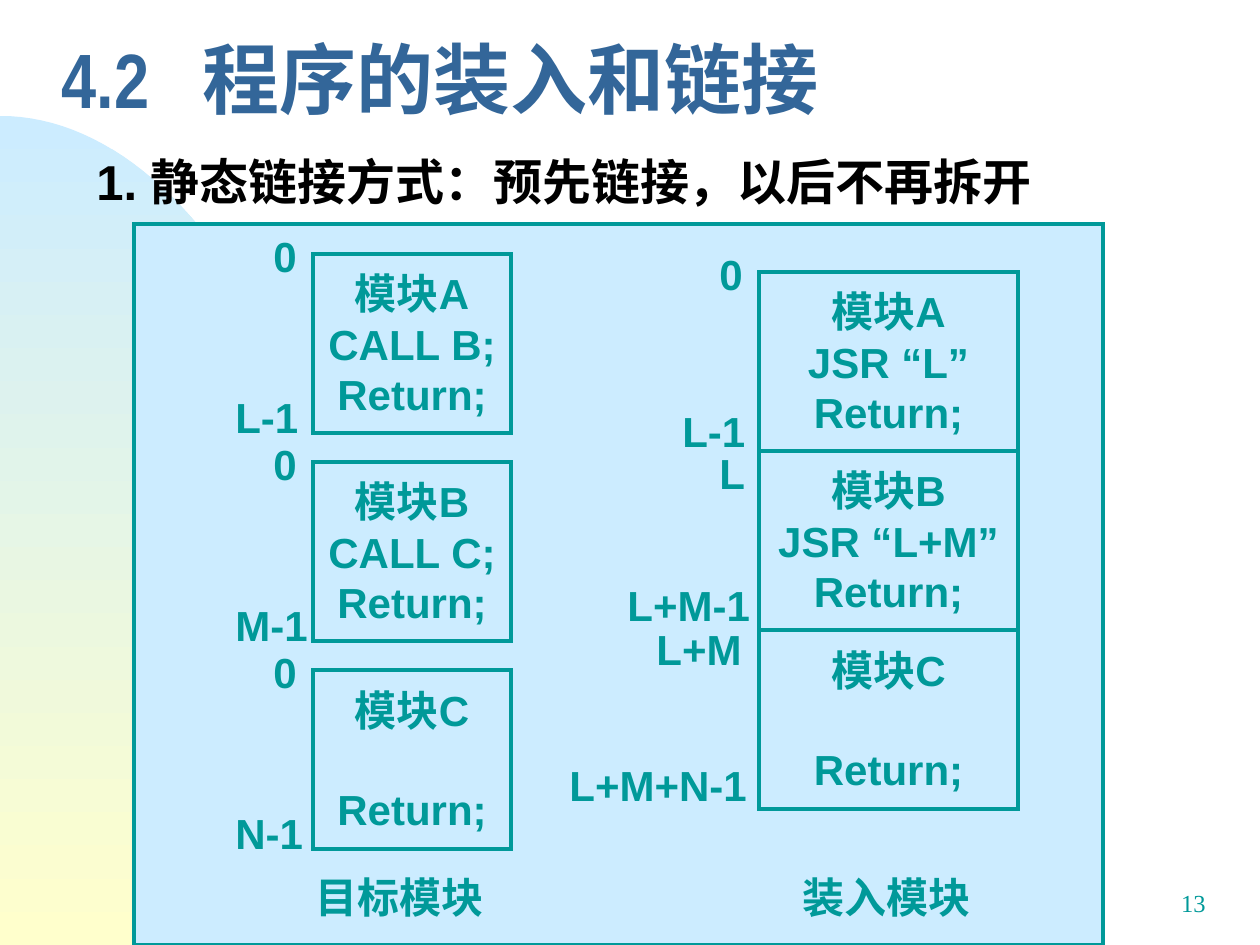
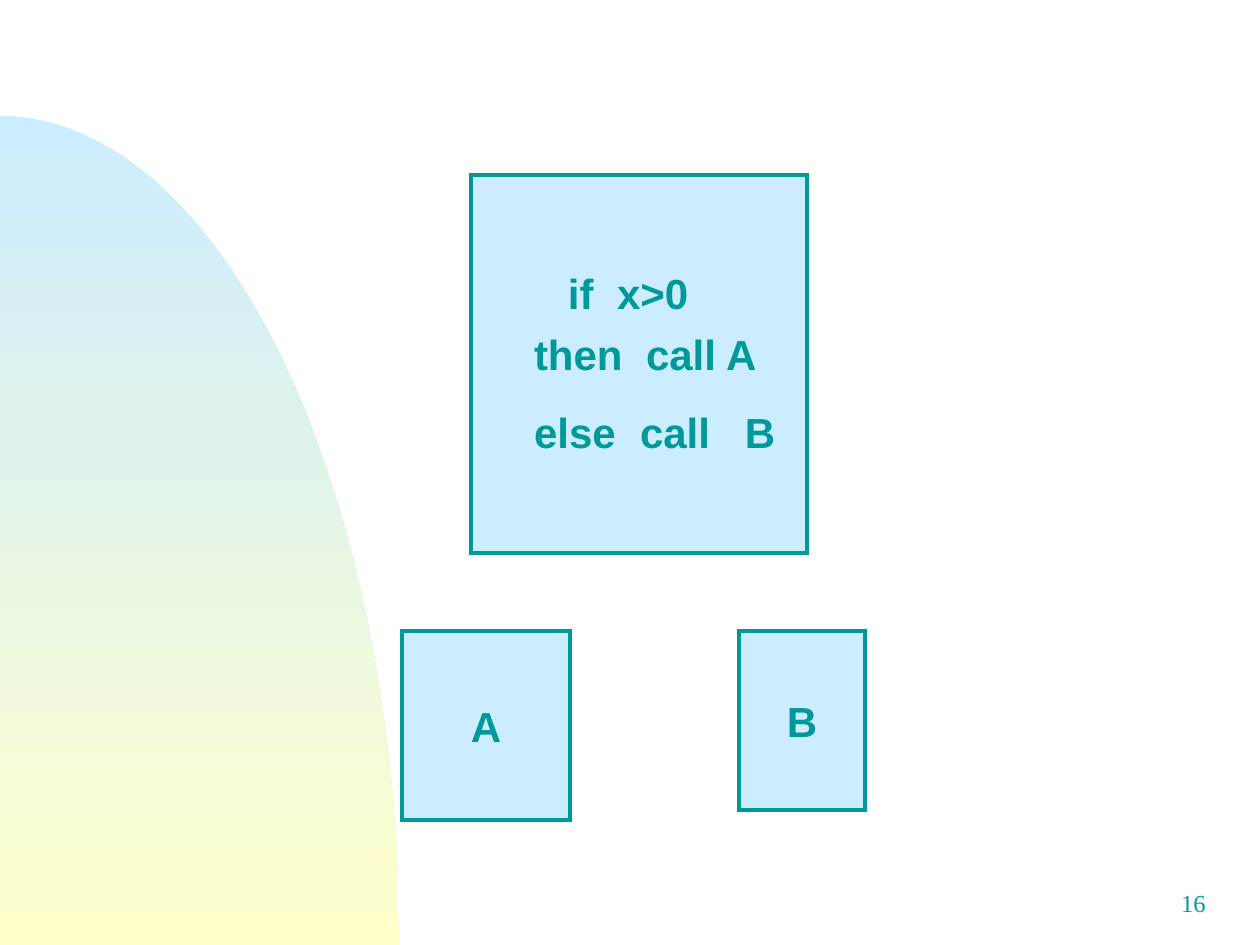
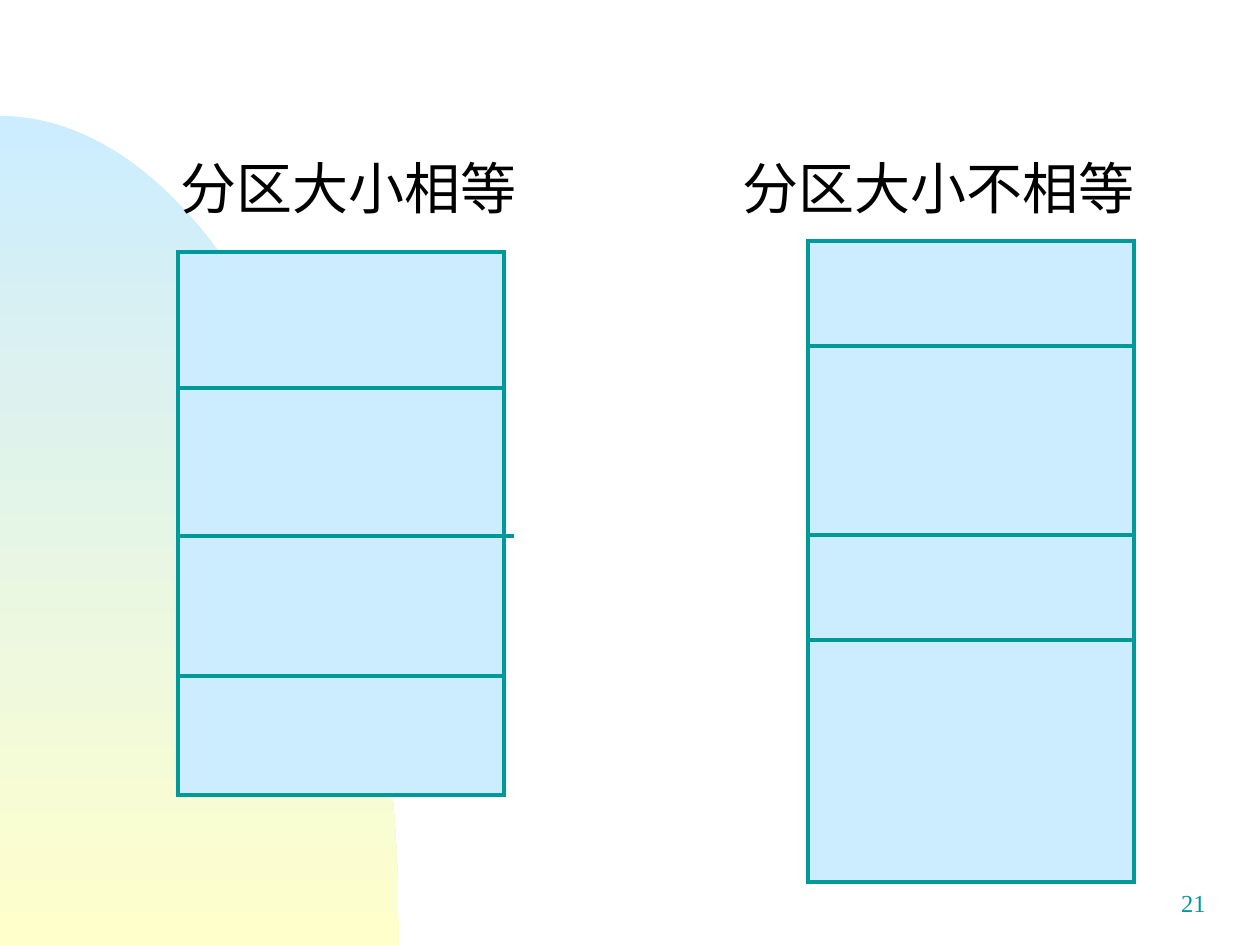
from dataclasses import dataclass
from math import cos, pi, sin

from lxml.etree import SubElement
from pptx import Presentation
from pptx.dml.color import RGBColor as Rgb
from pptx.enum.shapes import MSO_CONNECTOR as Connector, MSO_SHAPE as Preset
from pptx.enum.text import MSO_ANCHOR as Anchor, MSO_AUTO_SIZE as AutoSize, PP_ALIGN as Align
from pptx.oxml.ns import qn
from pptx.util import Emu, Pt

SLIDE_W, SLIDE_H = 1260, 945
TWO_BODIES, TITLE_ONLY, BLANK = 3, 5, 6


@dataclass(frozen=True)
class Theme:
    teal: Rgb = Rgb(0x00, 0x99, 0x99)
    sky: Rgb = Rgb(0xCC, 0xEC, 0xFF)
    cream: Rgb = Rgb(0xFF, 0xFF, 0xCC)
    blue: Rgb = Rgb(0x33, 0x66, 0x99)
    black: Rgb = Rgb(0, 0, 0)
    sans: str = "Arial"
    narrow: str = "Arial Narrow"
    serif: str = "Times New Roman"
    title: int = 44
    body: int = 32
    heading: int = 28
    label: int = 24
    number: int = 14
    thick: float = 2.5
    thin: float = 2.25


THEME = Theme()


def px(length):
    return Emu(round(length * 914400 / 126))


def box_of(left, top, width, height):
    return px(left), px(top), px(width), px(height)


# Shared helpers
def style(paragraph, size, color=THEME.teal, font=THEME.sans, bold=True):
    for run in paragraph.runs:
        run.font.size = Pt(size)
        run.font.name = font
        run.font.bold = bold
        run.font.color.rgb = color


def set_tabs(paragraph, *stops):
    tab_list = SubElement(paragraph._p.get_or_add_pPr(), qn("a:tabLst"))
    for stop in stops:
        SubElement(tab_list, qn("a:tab"), pos=str(px(stop)), algn="l")


def place(placeholder, box):
    placeholder.left, placeholder.top, placeholder.width, placeholder.height = box_of(*box)
    placeholder.text_frame.auto_size = AutoSize.NONE


def add_text(slide, box, text, size=THEME.label, align=Align.LEFT, **look):
    frame = slide.shapes.add_textbox(*box_of(*box)).text_frame
    frame.word_wrap = True
    frame.text = text
    line = frame.paragraphs[0]
    line.alignment = align
    style(line, size, **look)


def add_box(slide, box, weight=THEME.thin, lines=()):
    shape = slide.shapes.add_shape(Preset.RECTANGLE, *box_of(*box))
    shape.shadow.inherit = False
    shape.fill.solid()
    shape.fill.fore_color.rgb = THEME.sky
    shape.line.color.rgb = THEME.teal
    shape.line.width = Pt(weight)
    SubElement(shape.element.spPr.find(qn("a:ln")), qn("a:miter"), lim="800000")
    frame = shape.text_frame
    frame.word_wrap = False
    frame.vertical_anchor = Anchor.MIDDLE
    frame.text = "\n".join(lines)
    for line in frame.paragraphs:
        line.alignment = Align.CENTER
        style(line, THEME.label)
    return frame


def add_divider(slide, left, y, width):
    divider = slide.shapes.add_connector(
        Connector.STRAIGHT, px(left), px(y), px(left + width), px(y))
    divider.line.color.rgb = THEME.teal
    divider.line.width = Pt(THEME.thin)
    SubElement(divider.element.spPr, qn("a:effectLst"))


def add_master_arc(deck, slide, box=(0, 116, 399, 829), steps=60):
    """Quarter ellipse with a gradient, moved to the master behind everything."""
    left, top, width, height = box
    angles = [pi / 2 * step / steps for step in range(steps + 1)]
    curve = [(px(left + width * sin(a)), px(top + height * (1 - cos(a)))) for a in angles]
    builder = slide.shapes.build_freeform(*curve[0])
    builder.add_line_segments(curve[1:] + [(px(left), px(top + height))], close=True)
    arc = builder.convert_to_shape()
    arc.shadow.inherit = False
    arc.line.fill.background()
    arc.fill.gradient()
    arc.fill.gradient_angle = 270
    for stop, color in zip(arc.fill.gradient_stops, (THEME.sky, THEME.cream)):
        stop.color.rgb = color
    arc.element.nvSpPr.cNvPr.id = 20
    deck.slide_master.shapes.element.insert(2, arc.element)


def new_slide(deck, layout, number):
    slide = deck.slides.add_slide(deck.slide_layouts[layout])
    add_text(slide, (956, 882, 262, 63), number, THEME.number, Align.RIGHT,
             font=THEME.serif, bold=False)
    return slide


# Linking slide
def add_module_column(slide, box, pitch, modules):
    left, top, width, height = box
    for row, lines in enumerate(modules):
        frame = add_box(slide, (left, top + row * pitch, width, height), THEME.thick, lines)
        if len(lines) == 2:  # leave one line open between name and return
            frame.paragraphs[1].space_before = Pt(28)


def add_linking_panel(slide, box):
    left, top, _, _ = box
    add_box(slide, box, THEME.thick)

    # Object modules, each with its own addresses
    pitch = 208
    add_module_column(slide, (left + 179, top + 30, 198, 179), pitch, [
        ("模块A", "CALL B;", "Return;"),
        ("模块B", "CALL C;", "Return;"),
        ("模块C", "Return;"),
    ])
    for row, last in enumerate(("L-1", "M-1", "N-1")):
        add_text(slide, (left + 127, top + row * pitch, 69, 63), "0")
        add_text(slide, (left + 89, top + 161 + row * pitch, 103, 63), last)

    # Load module with joined addresses
    add_module_column(slide, (left + 625, top + 48, 259, 179), 179, [
        ("模块A", "JSR “L”", "Return;"),
        ("模块B", "JSR “L+M”", "Return;"),
        ("模块C", "Return;"),
    ])
    addresses = [
        (573, 18, 69, "0"), (536, 175, 98, "L-1"), (573, 217, 69, "L"),
        (481, 349, 158, "L+M-1"), (510, 393, 120, "L+M"), (423, 529, 208, "L+M+N-1"),
    ]
    for x, y, width, address in addresses:
        add_text(slide, (left + x, top + y, width, 63), address)

    # Captions
    for x, caption in ((169, "目标模块"), (656, "装入模块")):
        add_text(slide, (left + x, top + 641, 208, 63), caption)


def linking_slide(deck):
    slide = new_slide(deck, TITLE_ONLY, "13")
    add_master_arc(deck, slide)
    title = slide.shapes.title
    place(title, (49, 21, 1189, 136))
    title.text_frame.text = "4.2\t程序的装入和链接"
    title.text_frame.vertical_anchor = Anchor.MIDDLE
    heading = title.text_frame.paragraphs[0]
    set_tabs(heading, 141)
    heading.alignment = Align.LEFT
    heading.line_spacing = 0.7
    style(heading, THEME.title, THEME.blue, THEME.narrow)
    add_text(slide, (84, 145, 1081, 72), "1. 静态链接方式：预先链接，以后不再拆开",
             THEME.heading, color=THEME.black)
    add_linking_panel(slide, (134, 224, 969, 721))


# Branch slide
def add_condition(slide, box):
    code = [("\tif\tx>0", (34, 83), 0), ("then\tcall A", (112,), 6),
            ("else\tcall\tB", (106, 211), 16)]
    frame = add_box(slide, box, lines=[text for text, _, _ in code])
    frame.word_wrap = True
    frame.margin_left = px(63)
    frame.margin_bottom = px(10)
    for line, (_, stops, gap) in zip(frame.paragraphs, code):
        set_tabs(line, *stops)
        line.alignment = Align.LEFT
        line.space_before = Pt(gap)


def branch_slide(deck):
    slide = new_slide(deck, BLANK, "16")
    add_box(slide, (402, 631, 168, 189), lines=["A"])
    add_box(slide, (739, 631, 126, 179), lines=["B"])
    add_condition(slide, (471, 175, 336, 378))


# Partition slide
def fill_heading(body, box, text):
    place(body, box)
    body.text_frame.text = text
    heading = body.text_frame.paragraphs[0]
    settings = heading._p.get_or_add_pPr()
    settings.set("marL", "0")
    settings.set("indent", "0")
    SubElement(settings, qn("a:buNone"))
    heading.space_before = Pt(0)
    style(heading, THEME.body, THEME.black, bold=False)


def add_partitions(slide, box, dividers):
    left, top, width, _ = box
    add_box(slide, box)
    for y, overhang in dividers:
        add_divider(slide, left, top + y, width + overhang)


def partition_slide(deck):
    slide = new_slide(deck, TWO_BODIES, "21")
    title = slide.shapes.title.element
    title.getparent().remove(title)
    fill_heading(slide.placeholders[1], (168, 147, 478, 90), "分区大小相等")
    fill_heading(slide.placeholders[2], (730, 147, 478, 90), "分区大小不相等")
    add_partitions(slide, (178, 252, 326, 543), [(136, 0), (284, 10), (424, 0)])
    add_partitions(slide, (808, 241, 326, 641), [(105, 0), (294, 0), (399, 0)])


def main():
    deck = Presentation()
    deck.slide_width, deck.slide_height = px(SLIDE_W), px(SLIDE_H)
    linking_slide(deck)
    branch_slide(deck)
    partition_slide(deck)
    deck.save("out.pptx")


if __name__ == "__main__":
    main()
